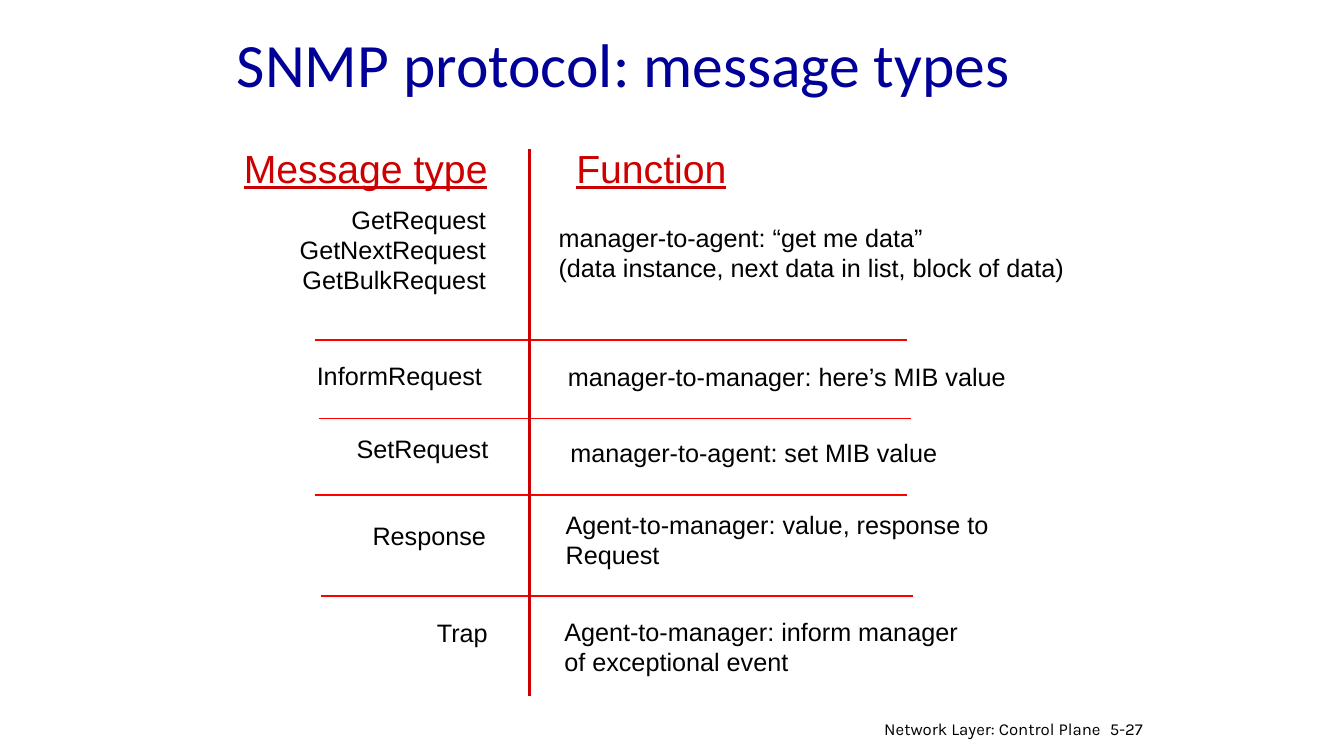
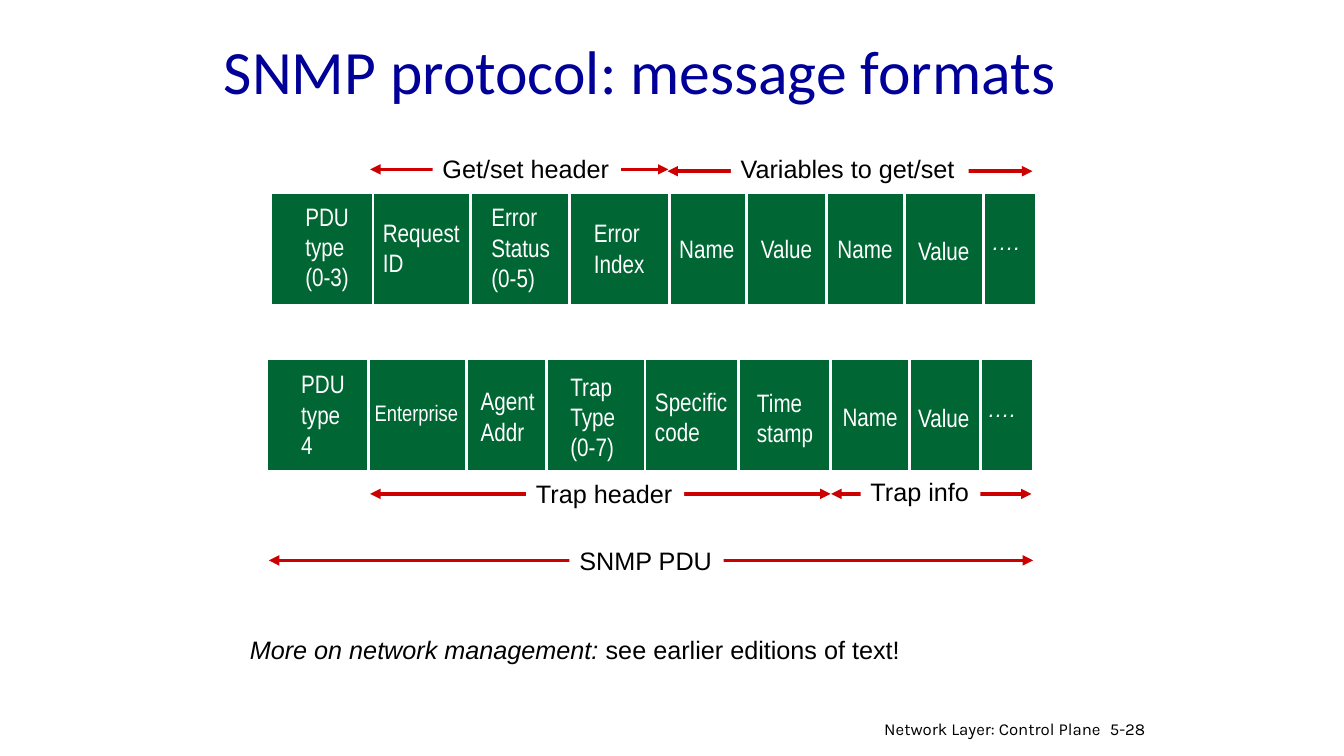
"""Build two slides on SNMP message types and formats."""
from dataclasses import dataclass
from itertools import accumulate

from lxml import etree
from pptx import Presentation
from pptx.dml.color import RGBColor
from pptx.enum import shapes, text
from pptx.oxml import ns
from pptx.util import Pt


@dataclass(frozen=True)
class Theme:
    """Hold the colours, fonts and type sizes."""
    blue: str = "000099"
    red: str = "CC0000"
    rule: str = "FF0000"
    green: str = "006633"
    black: str = "000000"
    white: str = "FFFFFF"
    head: str = "Calibri"
    sans: str = "Arial"
    slim: str = "Arial Narrow"
    foot: str = "Karla"
    title: int = 44
    sub: int = 28
    body: int = 18
    small: int = 16
    note: int = 12


T = Theme()
SIZE = (960, 540)
FOOTER = "Network Layer: Control Plane"

TYPES = {"title": "SNMP protocol: message types", "at": (162, 0, 612, 90), "page": "5-27"}
FORMATS = {"title": "SNMP protocol: message formats", "at": (152.7, 17.3, 612, 65.5), "page": "5-28"}

# Each entry: text, edge, top
HEADS = [("Message type", 355.3, 99.4), ("Function", 404.6, 99.4)]
KINDS = [
    ("GetRequest\nGetNextRequest\nGetBulkRequest", 354.2, 142.2),
    ("InformRequest", 351.4, 253.8),
    ("SetRequest", 355.9, 306),
    ("Response", 354.2, 368),
    ("Trap", 355.5, 437.4),
]
ROLES = [
    ("manager-to-agent: “get me data”\n(data instance, next data in list, block of data)", 391.9, 155.2),
    ("manager-to-manager: here’s MIB value", 398.6, 254.9),
    ("manager-to-agent: set MIB value", 400.3, 308.9),
    ("Agent-to-manager: value, response to\nRequest", 396.9, 360.4),
    ("Agent-to-manager: inform manager\nof exceptional event", 396, 436.6),
]
RULES = [(224.8, 242.9), (227.7, 299.1), (224.8, 353.6), (229, 425.8)]
SPAN = 422.8

# Each cell: text, cell width, indent, text top, text width
STRIPS = [
    (193.7, 138.2, [
        ("PDU\ntype\n(0-3)", 72.7, 17.3, 140.2, 46.1),
        ("Request\nID", 69.8, 0, 151.8, 69.8),
        ("Error\nStatus\n(0-5)", 70.6, 7.7, 140.5, 56.9),
        ("Error\nIndex", 71.3, 10.3, 151.9, 51.1),
        ("Name", 55.4, 0, 162.9, 54.7),
        ("Value", 56.9, 2.9, 163.4, 51.8),
        ("Name", 55.4, 0.7, 163.3, 54),
        ("Value", 56.9, 2.9, 164.2, 51.8),
        ("….", 37.2, -1.4, 166.3, 35.3)]),
    (190.8, 257, [
        ("PDU\ntype\n4", 72.7, 17.3, 259.8, 46.1),
        ("Enterprise", 69.9, -2.9, 281.4, 74.9),
        ("Agent\nAddr", 56.8, 2.9, 272, 53.3),
        ("Trap\nType\n(0-7)", 70.6, 10.1, 261.4, 46.8),
        ("Specific\ncode", 67, 0, 272.2, 67),
        ("Time\nstamp", 65.5, 5.7, 272.9, 55.4),
        ("Name", 56.1, 1.4, 283.3, 54),
        ("Value", 51.2, -0.7, 283.8, 51.8),
        ("….", 36.9, -2.2, 285.8, 35.3)]),
]
TALL = 79.2

# Each span: label, start, end, height, label left, label top, label width
SPANS = [
    ("Trap header", 264.4, 593.3, 352.8, 375.8, 338.1, 113),
    ("Trap info", 593.7, 736.8, 352.8, 614.7, 336.7, 85.7),
    ("Get/set header", 264.4, 477.5, 121, 309, 105.8, 134.6),
    ("Variables to get/set", 476.8, 737.5, 122.3, 522, 105.8, 169.9),
    ("SNMP PDU", 192, 738, 400.3, 406.8, 385.6, 110.2),
]
MORE = [("More on network management: ", True), ("see earlier editions of text!", False)]


def rgb(hue):
    """Turn a hex string into a colour."""
    return RGBColor.from_string(hue)


def style(para, size=T.body, face=T.sans, hue=T.black, right=False):
    """Set the font and alignment of a paragraph."""
    para.font.size, para.font.name = Pt(size), face
    para.font.color.rgb = rgb(hue)
    para.alignment = text.PP_ALIGN.RIGHT if right else text.PP_ALIGN.LEFT


def write(frame, words, **look):
    """Fill a frame with one paragraph per line."""
    for num, line in enumerate(words.split("\n")):
        para = frame.paragraphs[0] if num == 0 else frame.add_paragraph()
        para.text = line
        style(para, **look)


def box(slide, words, left, top, wide, tall=28.8, wrap=True, **look):
    """Add a text box and return its frame."""
    frame = slide.shapes.add_textbox(Pt(left), Pt(top), Pt(wide), Pt(tall)).text_frame
    frame.word_wrap = wrap
    write(frame, words, **look)
    return frame


def rect(slide, left, top, wide, tall, fill):
    """Add a plain filled rectangle."""
    kind = shapes.MSO_SHAPE.RECTANGLE
    item = slide.shapes.add_shape(kind, Pt(left), Pt(top), Pt(wide), Pt(tall))
    item.shadow.inherit = False
    item.fill.solid()
    item.fill.fore_color.rgb = rgb(fill)
    item.line.fill.background()
    return item


def line(slide, start, end, hue, wide, heads=False):
    """Add a straight line, with arrowheads at both ends if asked."""
    kind = shapes.MSO_CONNECTOR.STRAIGHT
    item = slide.shapes.add_connector(kind, *(Pt(v) for v in (*start, *end)))
    item.line.color.rgb = rgb(hue)
    item.line.width = Pt(wide)
    props = item.element.spPr
    if heads:
        edge = props.find(ns.qn("a:ln"))
        for tag in ("a:headEnd", "a:tailEnd"):
            etree.SubElement(edge, ns.qn(tag), type="triangle")
    etree.SubElement(props, ns.qn("a:effectLst"))


def start(deck, info):
    """Add a slide with its title and footer."""
    slide = deck.slides.add_slide(deck.slide_layouts[5])
    name = slide.shapes.title
    name.left, name.top, name.width, name.height = (Pt(v) for v in info["at"])
    frame = name.text_frame
    frame.auto_size = text.MSO_AUTO_SIZE.NONE
    frame.vertical_anchor = text.MSO_ANCHOR.MIDDLE
    write(frame, info["title"], size=T.title, face=T.head, hue=T.blue)
    small = {"size": T.note, "face": T.foot}
    box(slide, info["page"], 785.7, 509.8, 43.2, 21.6, **small)
    box(slide, FOOTER, 622, 509.8, 171.4, 18.7, right=True, **small)
    return slide


def types(deck):
    """Build the slide of message types."""
    slide = start(deck, TYPES)
    wide = 200
    for num, (words, edge, top) in enumerate(HEADS):
        right = num == 0
        left = edge - wide if right else edge
        frame = box(slide, words, left, top, wide, 41, size=T.sub, hue=T.red, right=right)
        frame.paragraphs[0].font.underline = True
    for words, edge, top in KINDS:
        box(slide, words, edge - wide, top, wide, right=True)
    for words, left, top in ROLES:
        box(slide, words, left, top, 400)
    for left, top in RULES:
        line(slide, (left, top), (left + SPAN, top), T.rule, 1)
    line(slide, (378, 106.6), (378, 497.5), T.red, 2)


def strip(slide, left, top, cells):
    """Add a band of packet fields with dividers."""
    edges = list(accumulate((cell[1] for cell in cells), initial=left))
    band = rect(slide, left, top, edges[-1] - left, TALL, T.green)
    band.line.color.rgb = rgb(T.white)
    band.line.width = Pt(0.75)
    for edge in edges[1:-1]:
        line(slide, (edge, top), (edge, top + TALL + 1), T.white, 2)
    for (words, _, dent, high, wide), edge in zip(cells, edges):
        dots = words == "…."
        size = T.small if dots or words == "Enterprise" else T.body
        rows = words.count("\n") + 1
        tall = 7.2 + rows * (12 if dots else size * 1.2)
        frame = box(slide, words, edge + dent, high, wide, tall, wrap=False,
                    size=size, face=T.sans if dots else T.slim, hue=T.white)
        if dots:
            frame.paragraphs[0].font.italic = True
            frame.paragraphs[0].line_spacing = Pt(12)


def formats(deck):
    """Build the slide of message formats."""
    slide = start(deck, FORMATS)
    for left, top, cells in STRIPS:
        strip(slide, left, top, cells)
    for _, left, right, mid, *_ in SPANS:
        line(slide, (left, mid), (right, mid), T.red, 2.5, heads=True)
    for words, _, _, _, left, top, wide in SPANS:
        frame = rect(slide, left, top, wide, 28.8, T.white).text_frame
        frame.word_wrap = False
        write(frame, words)
    para = box(slide, "", 171.4, 449.3, 483.1).paragraphs[0]
    for words, slant in MORE:
        run = para.add_run()
        run.text, run.font.italic = words, slant


def main():
    """Build and save the deck."""
    deck = Presentation()
    deck.slide_width, deck.slide_height = (Pt(v) for v in SIZE)
    types(deck)
    formats(deck)
    deck.save("out.pptx")


if __name__ == "__main__":
    main()
